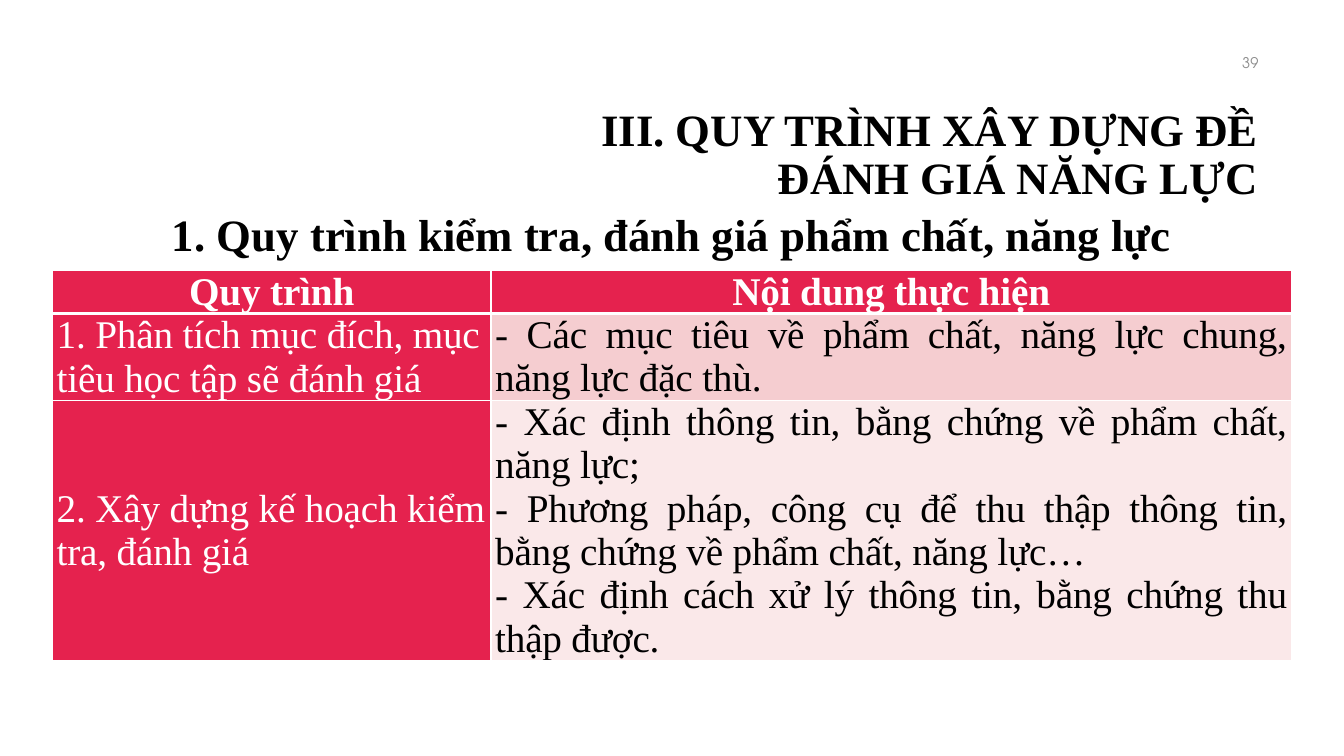
from lxml import etree
from pptx import Presentation
from pptx.dml.color import RGBColor
from pptx.enum.text import MSO_ANCHOR, MSO_AUTO_SIZE, PP_ALIGN
from pptx.oxml.ns import qn
from pptx.util import Pt

LEFT, CENTER, RIGHT, JUSTIFY = PP_ALIGN.LEFT, PP_ALIGN.CENTER, PP_ALIGN.RIGHT, PP_ALIGN.JUSTIFY
TOP, MIDDLE = MSO_ANCHOR.TOP, MSO_ANCHOR.MIDDLE
NO_AUTOFIT = MSO_AUTO_SIZE.NONE

BLACK = RGBColor(0x00, 0x00, 0x00)
WHITE = RGBColor(0xFF, 0xFF, 0xFF)
GRAY = RGBColor(0x8C, 0x8C, 0x8C)
CRIMSON = RGBColor(0xE5, 0x22, 0x4E)
PINK = RGBColor(0xF5, 0xCD, 0xD0)
PALE_PINK = RGBColor(0xFA, 0xE8, 0xE9)
SERIF, SANS = "Times New Roman", "TeX Gyre Adventor"

HEADERS = ["Quy trình", "Nội dung thực hiện"]
STEPS = [
    ("1. Phân tích mục đích, mục tiêu học tập sẽ đánh giá",
     ["- Các mục tiêu về phẩm chất, năng lực chung, năng lực đặc thù."]),
    ("2. Xây dựng kế hoạch kiểm tra, đánh giá",
     ["- Xác định thông tin, bằng chứng về phẩm chất, năng lực;",
      "- Phương pháp, công cụ để thu thập thông tin, bằng chứng về phẩm chất, năng lực…",
      "- Xác định cách xử lý thông tin, bằng chứng thu thập được."]),
]
COLUMN_WIDTHS = [313.2, 571.7]
ROW_HEIGHTS = [31, 62, 186]
THIN, THICK = 1, 3


def format_paragraph(paragraph, size, color, align, bold=False, name=SERIF):
    paragraph.alignment = align
    font = paragraph.font
    font.name, font.size, font.bold = name, Pt(size), bold
    font.color.rgb = color


def place_text(shape, box, text, size, color, align, bold=False, name=SERIF):
    shape.left, shape.top, shape.width, shape.height = map(Pt, box)
    frame = shape.text_frame
    frame.text = text
    frame.word_wrap = True
    frame.auto_size = NO_AUTOFIT
    frame.vertical_anchor = MIDDLE
    paragraph = frame.paragraphs[0]
    format_paragraph(paragraph, size, color, align, bold, name)
    return paragraph


def add_headings(slide, title_box, subtitle_box):
    title = place_text(slide.shapes.title, title_box,
                       "III. QUY TRÌNH XÂY DỰNG ĐỀ\vĐÁNH GIÁ NĂNG LỰC",
                       32, BLACK, RIGHT, bold=True)
    title.line_spacing = 0.9
    subtitle = place_text(slide.placeholders[1], subtitle_box,
                          "1. Quy trình kiểm tra, đánh giá phẩm chất, năng lực",
                          32, BLACK, CENTER, bold=True)
    subtitle.space_before = Pt(0)
    # The subtitle is a plain line without a bullet
    properties = subtitle._p.get_or_add_pPr()
    properties.set("marL", "0")
    properties.set("indent", "0")
    bullet = etree.Element(qn("a:buNone"))
    properties.find(qn("a:defRPr")).addprevious(bullet)


def add_page_number(slide, box):
    number = slide.shapes.add_textbox(*map(Pt, box))
    place_text(number, box, "39", 10.5, GRAY, RIGHT, name=SANS)


def set_borders(cell, top, bottom):
    properties = cell._tc.get_or_add_tcPr()
    for side, width in (("L", THIN), ("R", THIN), ("T", top), ("B", bottom)):
        line = etree.SubElement(properties, qn(f"a:ln{side}"), w=str(Pt(width)))
        fill = etree.SubElement(line, qn("a:solidFill"))
        etree.SubElement(fill, qn("a:srgbClr"), val=str(WHITE))


def fill_cell(cell, lines, fill, color, align, anchor, bold=False, top=THIN, bottom=THIN):
    set_borders(cell, top, bottom)
    cell.fill.solid()
    cell.fill.fore_color.rgb = fill
    cell.margin_left = cell.margin_right = Pt(3)
    cell.margin_top = cell.margin_bottom = Pt(0)
    cell.vertical_anchor = anchor
    cell.text_frame.text = "\n".join(lines)
    for paragraph in cell.text_frame.paragraphs:
        format_paragraph(paragraph, 28, color, align, bold)
        for run in paragraph.runs:
            run.font._element.set("spc", "-10")


def add_process_table(slide, left, top):
    table = slide.shapes.add_table(
        len(ROW_HEIGHTS), len(COLUMN_WIDTHS), Pt(left), Pt(top),
        Pt(sum(COLUMN_WIDTHS)), Pt(sum(ROW_HEIGHTS))).table
    for column, width in zip(table.columns, COLUMN_WIDTHS):
        column.width = Pt(width)
    for row, height in zip(table.rows, ROW_HEIGHTS):
        row.height = Pt(height)

    # Header row
    for index, header in enumerate(HEADERS):
        fill_cell(table.cell(0, index), [header], CRIMSON, WHITE, CENTER, MIDDLE,
                  bold=True, bottom=THICK)

    # One row per step, in alternating tints
    for index, (step, details) in enumerate(STEPS, start=1):
        border = THICK if index == 1 else THIN
        tint = PINK if index % 2 else PALE_PINK
        fill_cell(table.cell(index, 0), [step], CRIMSON, WHITE, LEFT, MIDDLE, top=border)
        fill_cell(table.cell(index, 1), details, tint, BLACK, JUSTIFY, TOP, top=border)


def main():
    presentation = Presentation()
    presentation.slide_width, presentation.slide_height = Pt(960), Pt(540)
    slide = presentation.slides.add_slide(presentation.slide_layouts[1])
    add_headings(slide, (228, 60.5, 678, 101.5), (54, 141, 852, 52))
    add_page_number(slide, (690, 30, 216, 29))
    add_process_table(slide, 37.5, 193)
    presentation.save("out.pptx")


if __name__ == "__main__":
    main()
